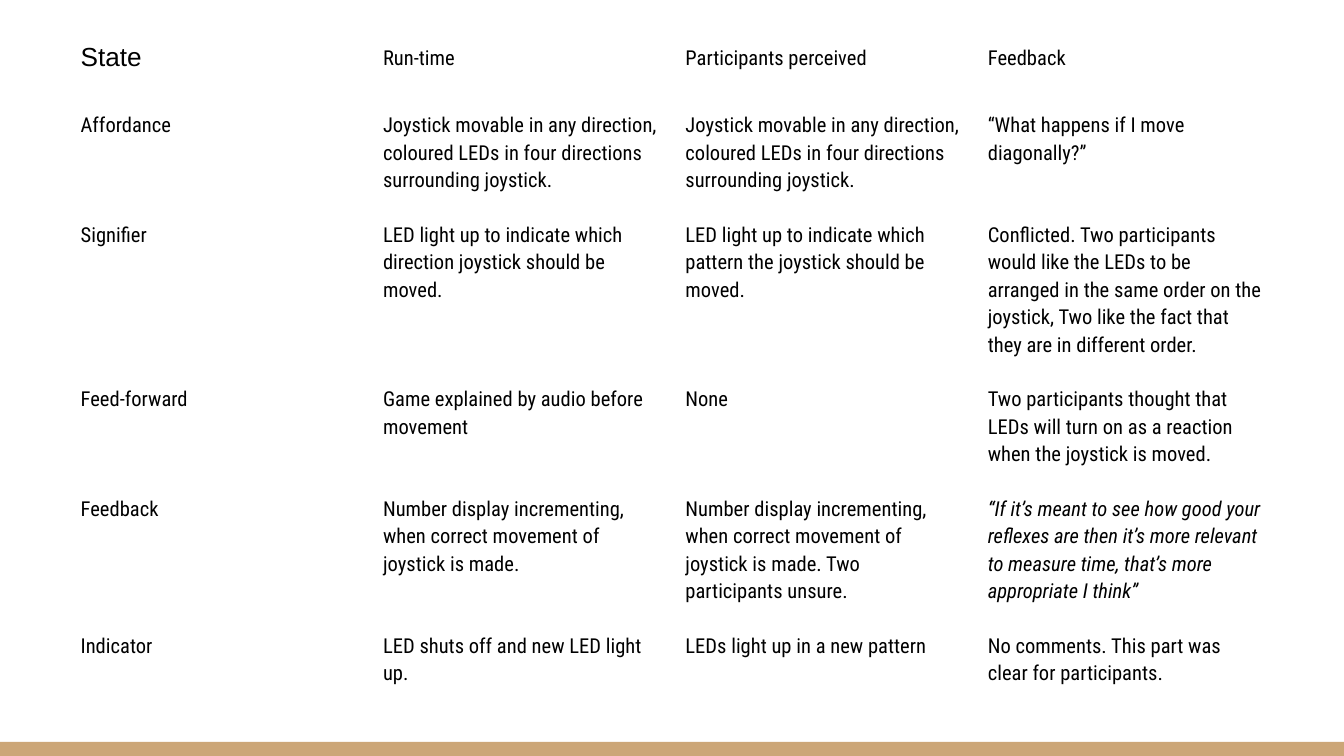
from pptx import Presentation
from pptx import util as u
from pptx.dml.color import RGBColor
from pptx.enum import shapes
from pptx.oxml.ns import qn

BLACK = RGBColor(0x00, 0x00, 0x00)
WHITE = RGBColor(0xFF, 0xFF, 0xFF)
TAN = RGBColor(0xCC, 0xA6, 0x77)
NO_STYLE_NO_GRID = "{2D5ABB26-0587-4C30-8999-92F81FD0307C}"

JOYSTICK = "Joystick movable in any direction, coloured LEDs in four directions surrounding joystick."
COUNTER = "Number display incrementing, when correct movement of joystick is made."
QUOTE = ("“If it’s meant to see how good your reflexes are then it’s more relevant "
         "to measure time, that’s more appropriate I think”")
ROWS = [
    ["State", "Run-time", "Participants perceived", "Feedback"],
    ["Affordance", JOYSTICK, JOYSTICK, "“What happens if I move diagonally?”"],
    ["Signifier",
     "LED light up to indicate which direction joystick should be moved.",
     "LED light up to indicate which pattern the joystick should be moved.",
     "Conflicted. Two participants would like the LEDs to be arranged in the same order "
     "on the joystick, Two like the fact that they are in different order."],
    ["Feed-forward", "Game explained by audio before movement", "None",
     "Two participants thought that LEDs will turn on as a reaction when the joystick is moved."],
    ["Feedback", COUNTER, COUNTER + " Two participants unsure.", QUOTE],
    ["Indicator", "LED shuts off and new LED light up.", "LEDs light up in a new pattern",
     "No comments. This part was clear for participants."],
    ["", "", "", ""],
]
HEIGHTS = [0.5] + [0.67] * 5 + [0.74]


class SlideBuilder:
    font, size, spacing, inset = "Roboto Condensed", 11, 1.15, 0.1

    def __init__(self, s):
        self.s = s
        s.background.fill.solid()
        s.background.fill.fore_color.rgb = WHITE

    def bar(self, x, y, w, h, color):
        sp = self.s.shapes.add_shape(shapes.MSO_SHAPE.RECTANGLE,
                                     u.Inches(x), u.Inches(y), u.Inches(w), u.Inches(h))
        sp.shadow.inherit = False
        sp.fill.solid()
        sp.fill.fore_color.rgb = color
        sp.line.fill.background()

    def table(self, x, y, col_width, heights, rows):
        cols = len(rows[0])
        table = self.s.shapes.add_table(len(rows), cols, u.Inches(x), u.Inches(y),
                                        u.Inches(col_width * cols),
                                        u.Inches(sum(heights))).table
        table.first_row = table.horz_banding = False
        table._tbl.tblPr.find(qn("a:tableStyleId")).text = NO_STYLE_NO_GRID
        for col in table.columns:
            col.width = u.Inches(col_width)
        for row, height, texts in zip(table.rows, heights, rows):
            row.height = u.Inches(height)
            for cell, words in zip(row.cells, texts):
                self.cell(cell, words)
        return table

    def cell(self, cell, words):
        cell.fill.background()
        cell.margin_left = cell.margin_right = u.Inches(self.inset)
        cell.margin_top = cell.margin_bottom = u.Inches(self.inset)
        if words:
            p = cell.text_frame.paragraphs[0]
            p.line_spacing = self.spacing
            r = p.add_run()
            r.text = words
            r.font.name = self.font
            r.font.size = u.Pt(self.size)
            r.font.italic = words == QUOTE
            r.font.color.rgb = BLACK

    def heading(self, cell, font, size):
        p = cell.text_frame.paragraphs[0]
        p.line_spacing = 1.0
        p.runs[0].font.name = font
        p.runs[0].font.size = u.Pt(size)


def main():
    prs = Presentation()
    prs.slide_width = u.Inches(10)
    prs.slide_height = prs.slide_width * 9 // 16
    builder = SlideBuilder(prs.slides.add_slide(prs.slide_layouts[6]))
    builder.bar(0, 5.52, 10, 0.11, TAN)
    table = builder.table(0.5, 0.22, 2.25, HEIGHTS, ROWS)
    builder.heading(table.cell(0, 0), "Arial", 14)
    prs.save("out.pptx")


if __name__ == "__main__":
    main()
